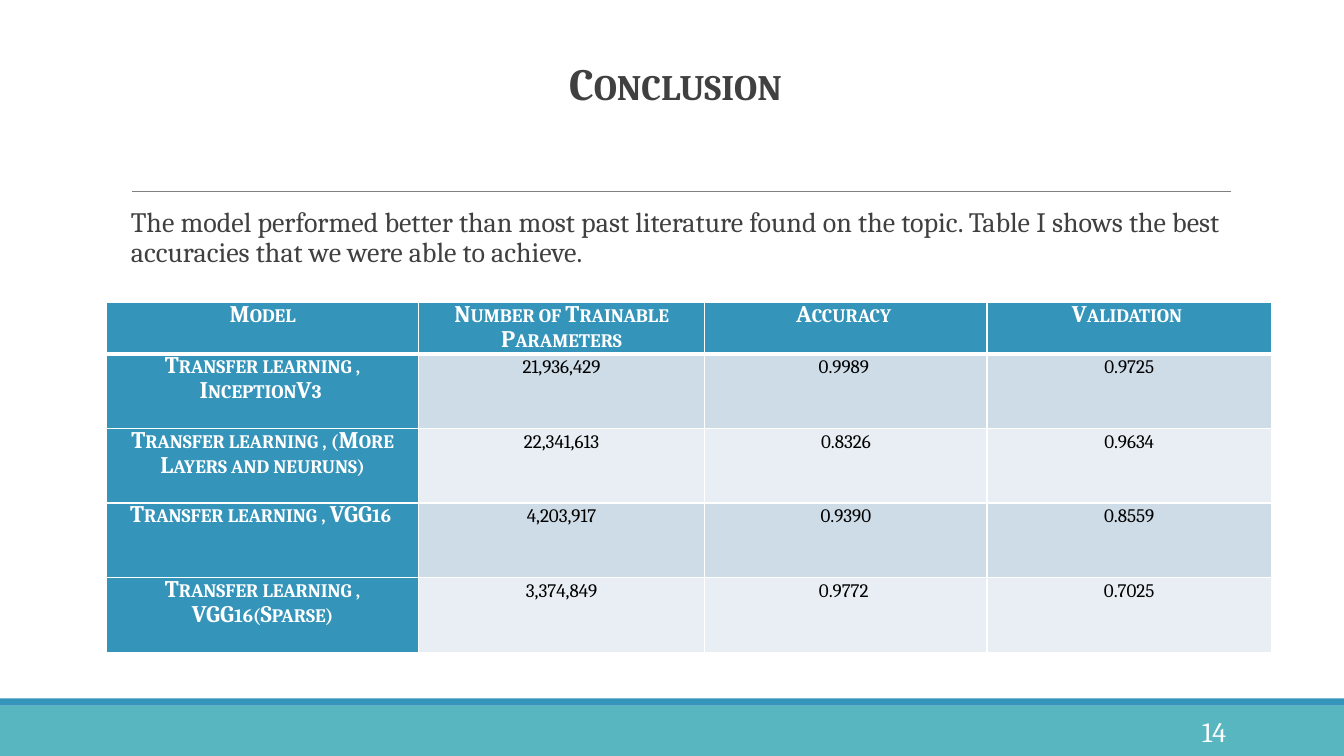
from dataclasses import dataclass

from lxml import etree
from pptx import Presentation
from pptx.dml.color import RGBColor as RGB
from pptx.enum.shapes import MSO_CONNECTOR as LINE, MSO_SHAPE as SHAPE
from pptx.enum.text import MSO_ANCHOR as ANCHOR, PP_ALIGN as ALIGN
from pptx.oxml.ns import qn
from pptx.util import Inches, Pt


@dataclass(frozen=True)
class Theme:
    face: str = "Cambria"
    blue: str = "3494BA"
    teal: str = "58B6C0"
    white: str = "FFFFFF"
    black: str = "000000"
    ink: str = "404040"
    gray: str = "808080"
    bands: tuple = ("CEDCE7", "E8EEF3")
    title: int = 32
    body: int = 20
    cell: int = 17


THEME = Theme()

WIDTHS = (3.09, 2.84, 2.8, 2.82)
HEADER = 0.49
ROW = 0.74
RESULTS = (
    ("Model", "Number of Trainable Parameters", "Accuracy ", "Validation "),
    ("Transfer learning , InceptionV3 ", "21,936,429", "0.9989 ", "0.9725"),
    ("Transfer learning , (More Layers and neuruns)", "22,341,613", "0.8326", "0.9634"),
    ("Transfer learning , VGG16 ", "4,203,917", "0.9390", "0.8559"),
    ("Transfer learning , VGG16(Sparse)", "3,374,849", "0.9772 ", "0.7025"),
)


def paint(fill, color):
    fill.solid()
    fill.fore_color.rgb = RGB.from_string(color)


def write(frame, text, size, color, align=ALIGN.LEFT, bold=False, caps=False, space=1.0):
    para = frame.paragraphs[0]
    para.text = text
    para.alignment = align
    para.line_spacing = space
    font = para.font
    font.name, font.size, font.bold = THEME.face, Pt(size), bold
    font.color.rgb = RGB.from_string(color)
    if caps:
        para._p.pPr.find(qn("a:defRPr")).set("cap", "small")


def add_text(slide, box, text, size, color, anchor=ANCHOR.TOP, foot=0.05, **style):
    frame = slide.shapes.add_textbox(*map(Inches, box)).text_frame
    frame.word_wrap = True
    frame.vertical_anchor = anchor
    frame.margin_bottom = Inches(foot)
    write(frame, text, size, color, **style)


def add_bar(slide, top, height, color):
    bar = slide.shapes.add_shape(SHAPE.RECTANGLE, *map(Inches, (0, top, 13.33, height)))
    bar.shadow.inherit = False
    paint(bar.fill, color)
    bar.line.fill.background()


def add_rule(slide, left, right, top):
    rule = slide.shapes.add_connector(LINE.STRAIGHT, *map(Inches, (left, top, right, top)))
    rule.line.width = Pt(0.5)
    rule.line.color.rgb = RGB.from_string(THEME.gray)
    etree.SubElement(rule._element.spPr, qn("a:effectLst"))


def add_edge(cell, side, width):
    edge = etree.SubElement(cell._tc.get_or_add_tcPr(), qn(f"a:ln{side}"), w=str(Pt(width)))
    fill = etree.SubElement(edge, qn("a:solidFill"))
    etree.SubElement(fill, qn("a:srgbClr"), val=THEME.white)


def add_grid(slide, left, top):
    size = (sum(WIDTHS), HEADER + ROW * (len(RESULTS) - 1))
    table = slide.shapes.add_table(
        len(RESULTS), len(WIDTHS), *map(Inches, (left, top, *size))
    ).table
    table.first_row = table.horz_banding = False
    for col, width in zip(table.columns, WIDTHS):
        col.width = Inches(width)
    for r, values in enumerate(RESULTS):
        table.rows[r].height = Inches(ROW if r else HEADER)
        for c, value in enumerate(values):
            cell = table.cell(r, c)
            head = r == 0 or c == 0
            cell.margin_left = cell.margin_right = Inches(0.07)
            cell.margin_top = cell.margin_bottom = 0
            # Heavy white line between the header and the results
            for side in "LRTB":
                heavy = (r, side) in ((0, "B"), (1, "T"))
                add_edge(cell, side, 3 if heavy else 1)
            paint(cell.fill, THEME.blue if head else THEME.bands[(r - 1) % 2])
            write(cell.text_frame, value, THEME.cell, THEME.white if head else THEME.black,
                  align=ALIGN.CENTER, bold=head, caps=True, space=0.9)


def main():
    deck = Presentation()
    deck.slide_width, deck.slide_height = Inches(13.33), Inches(7.5)
    slide = deck.slides.add_slide(deck.slide_layouts[6])

    # Footer bands and title rule
    add_bar(slide, 7, 0.5, THEME.teal)
    add_bar(slide, 6.93, 0.07, THEME.blue)
    add_rule(slide, 1.31, 12.21, 1.9)

    # Title, summary and page number
    add_text(slide, (1.2, 0.31, 11, 1.59), "Conclusion", THEME.title, THEME.ink,
             anchor=ANCHOR.BOTTOM, foot=0.81, align=ALIGN.CENTER,
             bold=True, caps=True, space=0.85)
    add_text(slide, (1.2, 2.02, 11, 0.9),
             "The model performed better than most past literature found on the topic. "
             "Table I shows the best accuracies that we were able to achieve.",
             THEME.body, THEME.ink, space=0.9)
    add_text(slide, (10.83, 7.06, 1.43, 0.4), "14", THEME.body, THEME.white,
             anchor=ANCHOR.MIDDLE, align=ALIGN.RIGHT)

    # Results table
    add_grid(slide, 1.06, 3)

    deck.save("out.pptx")


if __name__ == "__main__":
    main()
